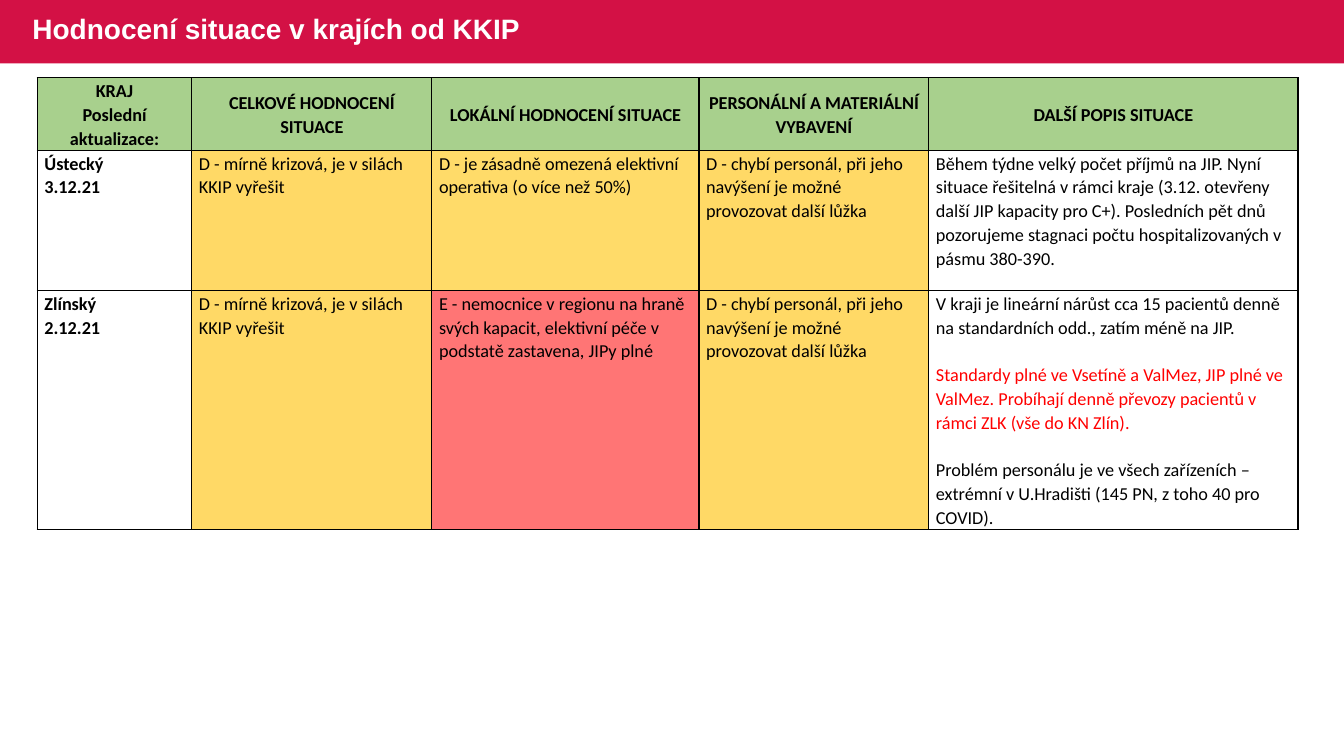
from lxml.etree import SubElement
from pptx import Presentation
from pptx.dml.color import RGBColor
from pptx.enum.shapes import MSO_SHAPE as Shape
from pptx.enum.text import MSO_ANCHOR as Anchor, PP_ALIGN as Align
from pptx.oxml.ns import qn
from pptx.util import Cm, Pt

BAND, GREEN, YELLOW, LIGHT_YELLOW, CORAL = "D31145", "A8D08D", "FFD966", "FFDB69", "FF7575"
BLACK, WHITE, RED = "000000", "FFFFFF", "FF0000"

COLUMN_WIDTHS = (3.89, 6.05, 6.73, 5.79, 9.3)
ROW_HEIGHTS = (1.73, 3.53, 6.02)
HEADERS = (
    "KRAJ\nPoslední aktualizace:",
    "CELKOVÉ HODNOCENÍ SITUACE",
    "LOKÁLNÍ HODNOCENÍ SITUACE",
    "PERSONÁLNÍ A MATERIÁLNÍ VYBAVENÍ",
    "DALŠÍ POPIS SITUACE",
)
OVERALL = "D - mírně krizová, je v silách KKIP vyřešit"
STAFFING = "D - chybí personál, při jeho navýšení je možné provozovat další lůžka"
REGIONS = (
    (
        "Ústecký\n3.12.21",
        OVERALL,
        "D - je zásadně omezená elektivní operativa (o více než 50%)",
        STAFFING,
        "Během týdne velký počet příjmů na JIP. Nyní situace řešitelná v rámci kraje "
        "(3.12. otevřeny další JIP kapacity pro C+). Posledních pět dnů pozorujeme "
        "stagnaci počtu hospitalizovaných v pásmu 380-390.",
    ),
    (
        "Zlínský\n2.12.21",
        OVERALL,
        "E - nemocnice v regionu na hraně svých kapacit, elektivní péče v podstatě "
        "zastavena, JIPy plné",
        STAFFING,
        "V kraji je lineární nárůst cca 15 pacientů denně na standardních odd., "
        "zatím méně na JIP.\n"
        "Standardy plné ve Vsetíně a ValMez, JIP plné ve ValMez. Probíhají denně "
        "převozy pacientů v rámci ZLK (vše do KN Zlín).\n"
        "Problém personálu je ve všech zařízeních – extrémní v U.Hradišti "
        "(145 PN, z toho 40 pro COVID).",
    ),
)
FILLS = (
    (GREEN,) * 5,
    (None, YELLOW, LIGHT_YELLOW, YELLOW, None),
    (None, YELLOW, CORAL, YELLOW, None),
)


def rgb(color):
    return RGBColor.from_string(color)


def format_font(font, name, size, color, bold):
    font.name = name
    font.size = Pt(size)
    font.color.rgb = rgb(color)
    font.bold = bold


def add_band(slide, height):
    """Put the coloured heading band behind everything else."""
    band = slide.shapes.add_shape(Shape.RECTANGLE, 0, 0, Cm(33.86), height)
    band.shadow.inherit = False
    band.fill.solid()
    band.fill.fore_color.rgb = rgb(BAND)
    band.line.fill.background()
    slide.shapes[0].element.addprevious(band.element)


def set_title(slide, text):
    title = slide.shapes.title
    title.left, title.top, title.width, title.height = Cm(0.56), Cm(-0.03), Cm(20.68), Cm(1.6)
    title.text_frame.text = text
    title.text_frame.vertical_anchor = Anchor.MIDDLE
    paragraph = title.text_frame.paragraphs[0]
    paragraph.alignment = Align.LEFT
    paragraph.line_spacing = 0.9
    format_font(paragraph.runs[0].font, "Arial", 20, WHITE, True)


def add_borders(cell):
    properties = cell._tc.get_or_add_tcPr()
    for side in ("a:lnL", "a:lnR", "a:lnT", "a:lnB"):
        line = SubElement(properties, qn(side), w=str(Pt(1)))
        fill = SubElement(line, qn("a:solidFill"))
        SubElement(fill, qn("a:srgbClr"), val=BLACK)


def fill_cell(cell, text, fill, bold, header):
    cell.margin_left = cell.margin_right = Cm(0.18)
    cell.margin_top, cell.margin_bottom = Cm(0.03), 0
    cell.vertical_anchor = Anchor.MIDDLE if header else Anchor.TOP
    add_borders(cell)
    if fill:
        cell.fill.solid()
        cell.fill.fore_color.rgb = rgb(fill)
    else:
        cell.fill.background()
    cell.text_frame.text = text
    for paragraph in cell.text_frame.paragraphs:
        paragraph.alignment = Align.CENTER if header else Align.LEFT
        paragraph.line_spacing = 1.07
        format_font(paragraph.runs[0].font, "Calibri", 13, BLACK, bold)


def add_region_table(slide):
    rows = (HEADERS, *REGIONS)
    table = slide.shapes.add_table(
        len(rows), len(HEADERS), Cm(0.94), Cm(1.96),
        Cm(sum(COLUMN_WIDTHS)), Cm(sum(ROW_HEIGHTS)),
    ).table
    table.first_row = table.horz_banding = False
    for column, width in zip(table.columns, COLUMN_WIDTHS):
        column.width = Cm(width)
    for row, height in zip(table.rows, ROW_HEIGHTS):
        row.height = Cm(height)
    for r, (texts, fills) in enumerate(zip(rows, FILLS)):
        for c, (text, fill) in enumerate(zip(texts, fills)):
            header = r == 0
            fill_cell(table.cell(r, c), text, fill, header or c == 0, header)
    return table


def format_notes(cell):
    """Set the paragraphs a line apart and highlight the second."""
    paragraphs = cell.text_frame.paragraphs
    for paragraph in paragraphs[1:]:
        paragraph.space_before = Pt(17)
    paragraphs[1].runs[0].font.color.rgb = rgb(RED)


def main():
    presentation = Presentation()
    presentation.slide_width, presentation.slide_height = Cm(33.86), Cm(19.05)
    slide = presentation.slides.add_slide(presentation.slide_layouts[5])
    add_band(slide, Cm(1.6))
    set_title(slide, "Hodnocení situace v krajích od KKIP")
    table = add_region_table(slide)
    format_notes(table.cell(2, 4))
    presentation.save("out.pptx")


if __name__ == "__main__":
    main()
